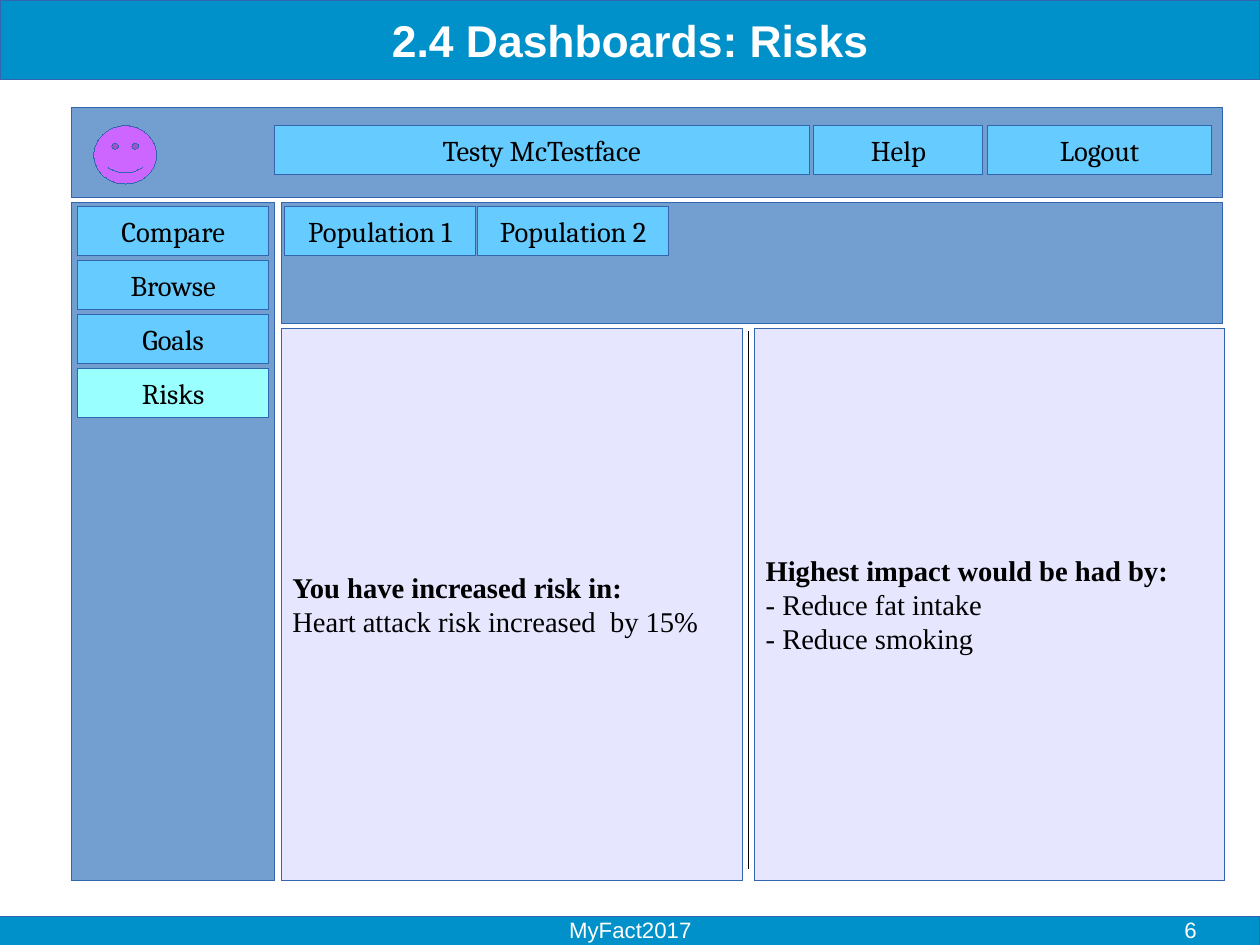
"""Build the risks dashboard wireframe slide."""
from dataclasses import dataclass

from lxml import etree
from pptx import Presentation
from pptx.dml.color import RGBColor
from pptx.enum.shapes import MSO_CONNECTOR, MSO_SHAPE
from pptx.enum.text import MSO_ANCHOR, MSO_AUTO_SIZE, PP_ALIGN
from pptx.oxml.ns import qn
from pptx.shapes.autoshape import Shape
from pptx.shapes.connector import Connector
from pptx.slide import Slide
from pptx.text.text import TextFrame
from pptx.util import Inches, Pt

RECTANGLE = MSO_SHAPE.RECTANGLE
SMILEY = MSO_SHAPE.SMILEY_FACE
STRAIGHT = MSO_CONNECTOR.STRAIGHT
LEFT, CENTER, RIGHT = PP_ALIGN.LEFT, PP_ALIGN.CENTER, PP_ALIGN.RIGHT
MIDDLE, TOP = MSO_ANCHOR.MIDDLE, MSO_ANCHOR.TOP
NO_AUTOFIT = MSO_AUTO_SIZE.NONE


@dataclass(frozen=True)
class Theme:
    bar: str = "0090CA"
    outline: str = "3465AF"
    frame: str = "729FCF"
    button: str = "66CCFF"
    active: str = "99FFFF"
    panel: str = "E6E6FF"
    avatar: str = "CC66FF"
    light: str = "FFFFFF"
    dark: str = "000000"
    title_size: int = 28
    body_size: int = 18
    footer_size: int = 14


@dataclass(frozen=True)
class Area:
    left: float
    top: float
    width: float
    height: float


@dataclass(frozen=True)
class TextStyle:
    font: str
    size: int
    color: str
    align: PP_ALIGN = CENTER
    anchor: MSO_ANCHOR = MIDDLE
    inset: tuple[float, float] = (0.1, 0.05)


@dataclass(frozen=True)
class Line:
    text: str
    bold: bool = False


@dataclass(frozen=True)
class Button:
    label: str
    area: Area
    fill: str


@dataclass(frozen=True)
class Panel:
    area: Area
    lines: tuple[Line, ...]


@dataclass(frozen=True)
class Note:
    text: str
    area: Area
    style: TextStyle


THEME = Theme()
CM_PER_INCH = 2.54
PAGE = Area(0, 0, 28 / CM_PER_INCH, 21 / CM_PER_INCH)
TITLE_BAR = Area(0, 0, PAGE.width, 0.7)
FOOTER_BAR = Area(0, 8.02, PAGE.width, 0.25)
AVATAR = Area(0.82, 1.1, 0.55, 0.51)
FRAMES = (
    Area(0.63, 0.94, 10.07, 0.79),
    Area(0.63, 1.77, 1.77, 5.93),
    Area(2.46, 1.77, 8.24, 1.06),
)

BUTTON_HEIGHT, BUTTON_WIDTH = 0.43, 1.67
HEADER_TOP, MENU_LEFT, MENU_TOP, MENU_STEP = 1.1, 0.68, 1.81, 0.47
TAB_LEFT, TAB_STEP = 2.49, 1.69
ACTIVE_ITEM = "Risks"
MENU = ("Compare", "Browse", "Goals", ACTIVE_ITEM)
TABS = ("Population 1", "Population 2")
HEADER = (("Testy McTestface", 2.4, 4.68), ("Help", 7.12, 1.48), ("Logout", 8.64, 1.96))

PANELS = (
    Panel(Area(2.46, 2.87, 4.04, 4.83), (
        Line("You have increased risk in:", True),
        Line("Heart attack risk increased  by 15%"),
    )),
    Panel(Area(6.6, 2.87, 4.11, 4.83), (
        Line("Highest impact would be had by:", True),
        Line("- Reduce fat intake"),
        Line("- Reduce smoking"),
    )),
)

TITLE_STYLE = TextStyle("Arial", THEME.title_size, THEME.light, inset=(0, 0))
BUTTON_STYLE = TextStyle("Cambria", THEME.body_size, THEME.dark)
PANEL_STYLE = TextStyle("Times New Roman", THEME.body_size, THEME.dark, LEFT)
FOOTER_STYLE = TextStyle("Arial", THEME.footer_size, THEME.light, CENTER, TOP, (0, 0))
NUMBER_STYLE = TextStyle("Arial", THEME.footer_size, THEME.light, RIGHT, TOP, (0, 0))

FOOTER_NOTES = (
    Note("MyFact2017", Area(3.77, 8.02, 3.49, 0.25), FOOTER_STYLE),
    Note("6", Area(7.9, 8.02, 2.57, 0.25), NUMBER_STYLE),
)


def rgb(color: str) -> RGBColor:
    return RGBColor.from_string(color)


def bounds(area: Area) -> tuple[Inches, ...]:
    return tuple(Inches(n) for n in (area.left, area.top, area.width, area.height))


def draw_hairline(item: Shape | Connector, color: str) -> None:
    item.line.color.rgb = rgb(color)
    item.element.spPr.find(qn("a:ln")).set("w", "0")


def paint(box: Shape, fill: str) -> None:
    box.fill.solid()
    box.fill.fore_color.rgb = rgb(fill)
    draw_hairline(box, THEME.outline)


def write(frame: TextFrame, lines: tuple[Line, ...], style: TextStyle) -> None:
    frame.word_wrap = True
    frame.auto_size = NO_AUTOFIT
    frame.vertical_anchor = style.anchor
    frame.margin_left = frame.margin_right = Inches(style.inset[0])
    frame.margin_top = frame.margin_bottom = Inches(style.inset[1])
    for index, line in enumerate(lines):
        para = frame.add_paragraph() if index else frame.paragraphs[0]
        para.alignment = style.align
        span = para.add_run()
        span.text = line.text
        span.font.name = style.font
        span.font.size = Pt(style.size)
        span.font.bold = line.bold
        span.font.color.rgb = rgb(style.color)


def add_box(page: Slide, area: Area, fill: str, kind: MSO_SHAPE = RECTANGLE) -> Shape:
    box = page.shapes.add_shape(kind, *bounds(area))
    box.shadow.inherit = False
    paint(box, fill)
    return box


def add_title(page: Slide) -> None:
    title = page.shapes.title
    title.left, title.top, title.width, title.height = bounds(TITLE_BAR)
    paint(title, THEME.bar)
    write(title.text_frame, (Line("2.4 Dashboards: Risks", True),), TITLE_STYLE)


def add_footer(page: Slide) -> None:
    add_box(page, FOOTER_BAR, THEME.bar)
    for note in FOOTER_NOTES:
        box = page.shapes.add_textbox(*bounds(note.area))
        write(box.text_frame, (Line(note.text),), note.style)


def add_divider(page: Slide) -> None:
    ends = (Inches(n) for n in (6.55, 2.9, 6.55, 7.6))
    divider = page.shapes.add_connector(STRAIGHT, *ends)
    draw_hairline(divider, THEME.dark)
    etree.SubElement(divider.element.spPr, qn("a:effectLst"))


def list_buttons() -> list[Button]:
    header = [Button(label, Area(left, HEADER_TOP, width, BUTTON_HEIGHT), THEME.button)
              for label, left, width in HEADER]
    menu = [Button(label, Area(MENU_LEFT, MENU_TOP + row * MENU_STEP, BUTTON_WIDTH, BUTTON_HEIGHT),
                   THEME.active if label == ACTIVE_ITEM else THEME.button)
            for row, label in enumerate(MENU)]
    tabs = [Button(label, Area(TAB_LEFT + column * TAB_STEP, MENU_TOP, BUTTON_WIDTH, BUTTON_HEIGHT),
                   THEME.button)
            for column, label in enumerate(TABS)]
    return header + menu + tabs


def main() -> None:
    deck = Presentation()
    deck.slide_width, deck.slide_height = Inches(PAGE.width), Inches(PAGE.height)
    page = deck.slides.add_slide(deck.slide_layouts[5])
    add_title(page)
    for area in FRAMES:
        add_box(page, area, THEME.frame)
    add_box(page, AVATAR, THEME.avatar, SMILEY)
    for button in list_buttons():
        box = add_box(page, button.area, button.fill)
        write(box.text_frame, (Line(button.label),), BUTTON_STYLE)
    add_divider(page)
    for panel in PANELS:
        box = add_box(page, panel.area, THEME.panel)
        write(box.text_frame, panel.lines, PANEL_STYLE)
    add_footer(page)
    deck.save("out.pptx")


if __name__ == "__main__":
    main()
